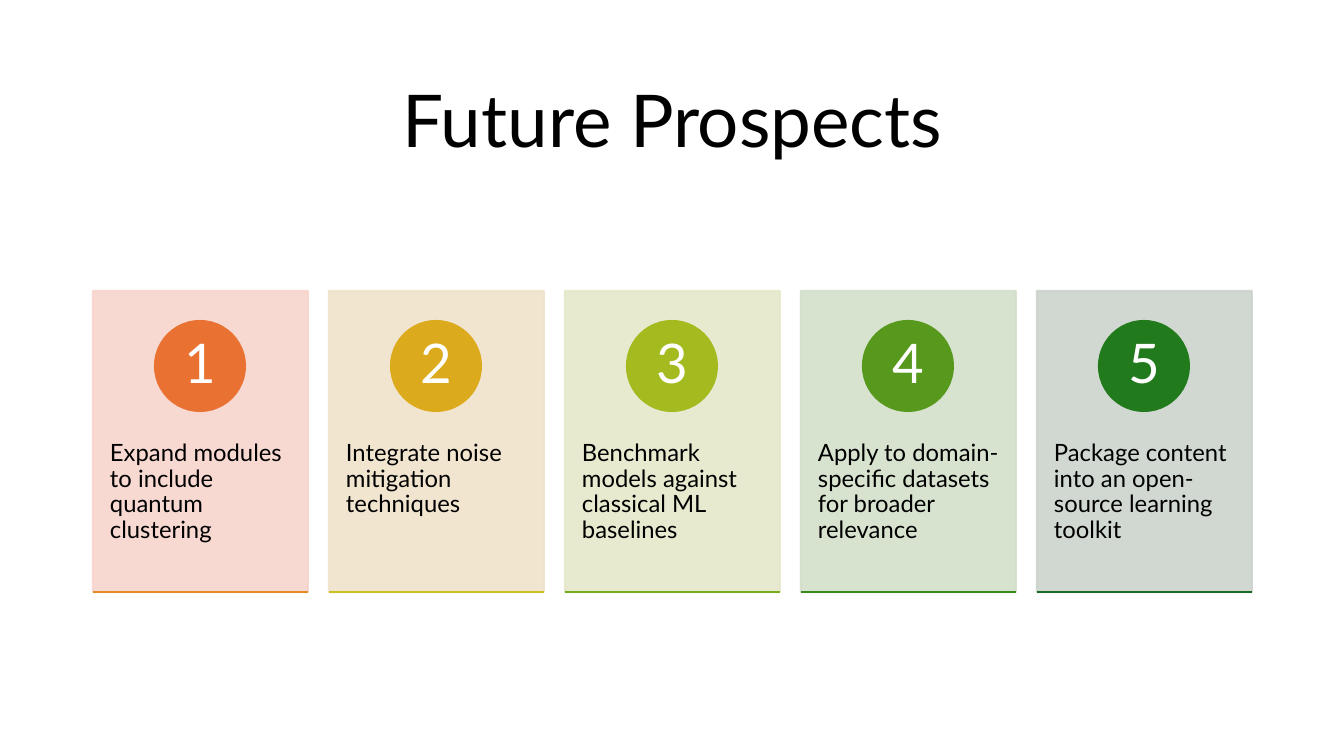
"""Build the Future Prospects slide with five numbered cards."""
import lxml.etree
import pptx
import pptx.dml.color
import pptx.enum.shapes
import pptx.enum.text
import pptx.oxml.ns
import pptx.util

PX = 914400 / 100.8
SHAPES = pptx.enum.shapes.MSO_SHAPE
ALIGN = pptx.enum.text.PP_ALIGN
ANCHOR = pptx.enum.text.MSO_ANCHOR
qn = pptx.oxml.ns.qn


def color(value):
    return pptx.dml.color.RGBColor.from_string(value)


def write(shape, text, size, hex_color, align, anchor, margin_x, margin_y):
    frame = shape.text_frame
    frame_format = {
        "word_wrap": True,
        "auto_size": pptx.enum.text.MSO_AUTO_SIZE.NONE,
        "vertical_anchor": anchor,
        "margin_left": round(margin_x * PX),
        "margin_right": round(margin_x * PX),
        "margin_top": round(margin_y * PX),
        "margin_bottom": round(margin_y * PX),
    }
    for name, value in frame_format.items():
        setattr(frame, name, value)
    paragraph = frame.paragraphs[0]
    paragraph.text = text
    paragraph.alignment = align
    paragraph.line_spacing = 0.9
    for name, value in {"name": "Lato", "size": pptx.util.Pt(size)}.items():
        setattr(paragraph.font, name, value)
    paragraph.font.color.rgb = color(hex_color)


presentation = pptx.Presentation()
presentation.slide_width = round(1344 * PX)
presentation.slide_height = round(756 * PX)
slide = presentation.slides.add_slide(presentation.slide_layouts[5])

title = slide.shapes.title
title_box = {"left": 93, "top": 61, "width": 1159, "height": 125}
for name, value in title_box.items():
    setattr(title, name, round(value * PX))
write(title, "Future Prospects", 52, "000000", ALIGN.CENTER, ANCHOR.MIDDLE, 10, 5)

CARD_LEFT, CARD_TOP, CARD_WIDTH, CARD_HEIGHT, CARD_PITCH = 93, 291, 215, 301, 236
LABEL_TOP, LABEL_HEIGHT = 405, 180
CIRCLE_TOP, CIRCLE_SIZE = 321, 90
prospects = [
    ("Expand modules to include quantum clustering", "F7D5CE", "E97132", "E58D25"),
    ("Integrate noise mitigation techniques", "F0E3CB", "DCAB1D", "CBC11E"),
    ("Benchmark models against classical ML baselines", "E5E8CA", "A4BA1E", "7AAA1E"),
    ("Apply to domain-specific datasets for broader relevance", "D3DFCA", "56991D", "398A1C"),
    ("Package content into an open-source learning toolkit", "CCD4CD", "217A1B", "196B24"),
]

for index, (label_text, card_color, circle_color, base_color) in enumerate(prospects):
    left = CARD_LEFT + index * CARD_PITCH
    circle_left = left + (CARD_WIDTH - CIRCLE_SIZE) // 2
    card_box = [round(value * PX) for value in (left, CARD_TOP, CARD_WIDTH, CARD_HEIGHT)]
    label_box = [round(value * PX) for value in (left, LABEL_TOP, CARD_WIDTH, LABEL_HEIGHT)]
    circle_box = [round(value * PX) for value in (circle_left, CIRCLE_TOP, CIRCLE_SIZE, CIRCLE_SIZE)]

    card = slide.shapes.add_shape(SHAPES.RECTANGLE, *card_box)
    label = slide.shapes.add_textbox(*label_box)
    circle = slide.shapes.add_shape(SHAPES.OVAL, *circle_box)
    for shape, fill_color in ((card, card_color), (circle, circle_color)):
        shape.shadow.inherit = False
        shape.fill.solid()
        shape.fill.fore_color.rgb = color(fill_color)
        shape.line.color.rgb = color(fill_color)
        shape.line.width = pptx.util.Pt(1.5)
    for paint in card.element.iter(qn("a:srgbClr")):
        lxml.etree.SubElement(paint, qn("a:alpha"), val="90000")

    write(label, label_text, 17, "000000", ALIGN.LEFT, ANCHOR.TOP, 17, 36)
    write(circle, str(index + 1), 39, "FFFFFF", ALIGN.CENTER, ANCHOR.MIDDLE, 7, 1)

    base_y = CARD_TOP + CARD_HEIGHT
    base_ends = [round(value * PX) for value in (left, base_y, left + CARD_WIDTH, base_y)]
    base = slide.shapes.add_connector(pptx.enum.shapes.MSO_CONNECTOR.STRAIGHT, *base_ends)
    base.line.color.rgb = color(base_color)
    base.line.width = pptx.util.Pt(1.5)
    lxml.etree.SubElement(base.element.spPr, qn("a:effectLst"))

presentation.save("out.pptx")
